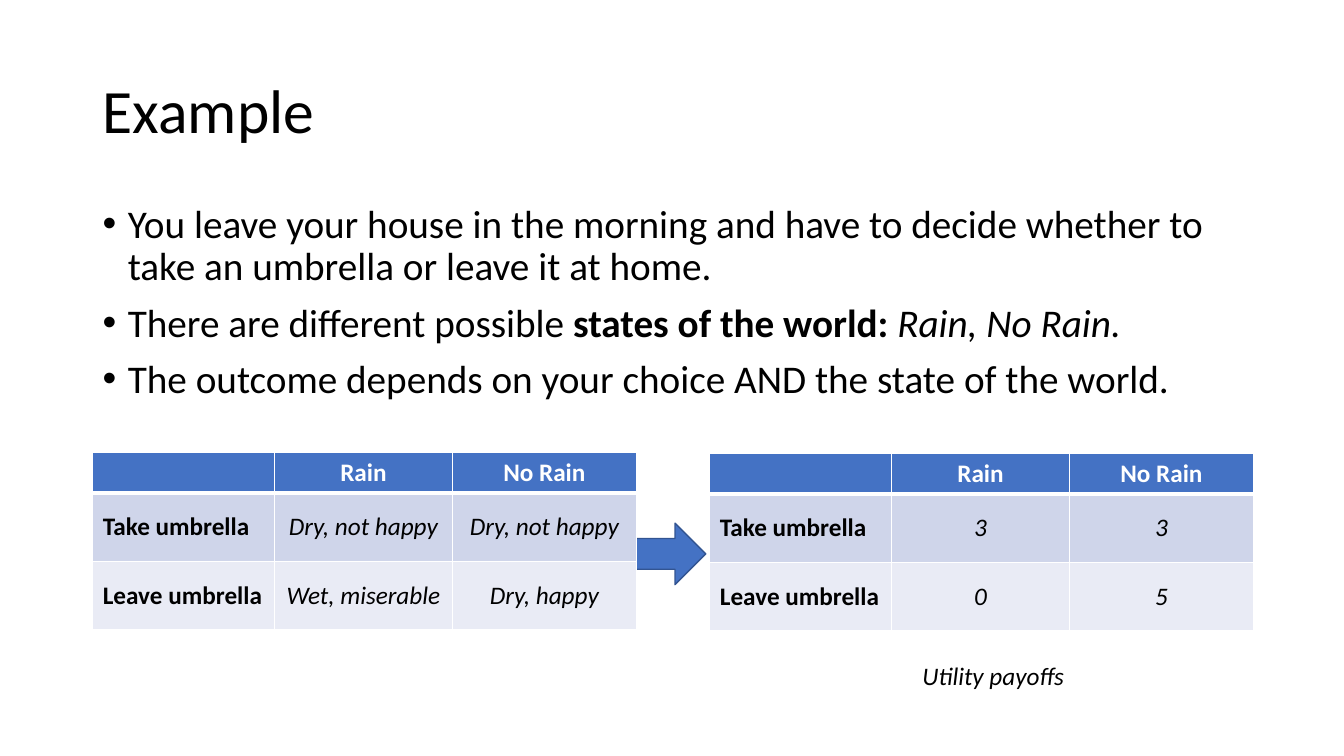
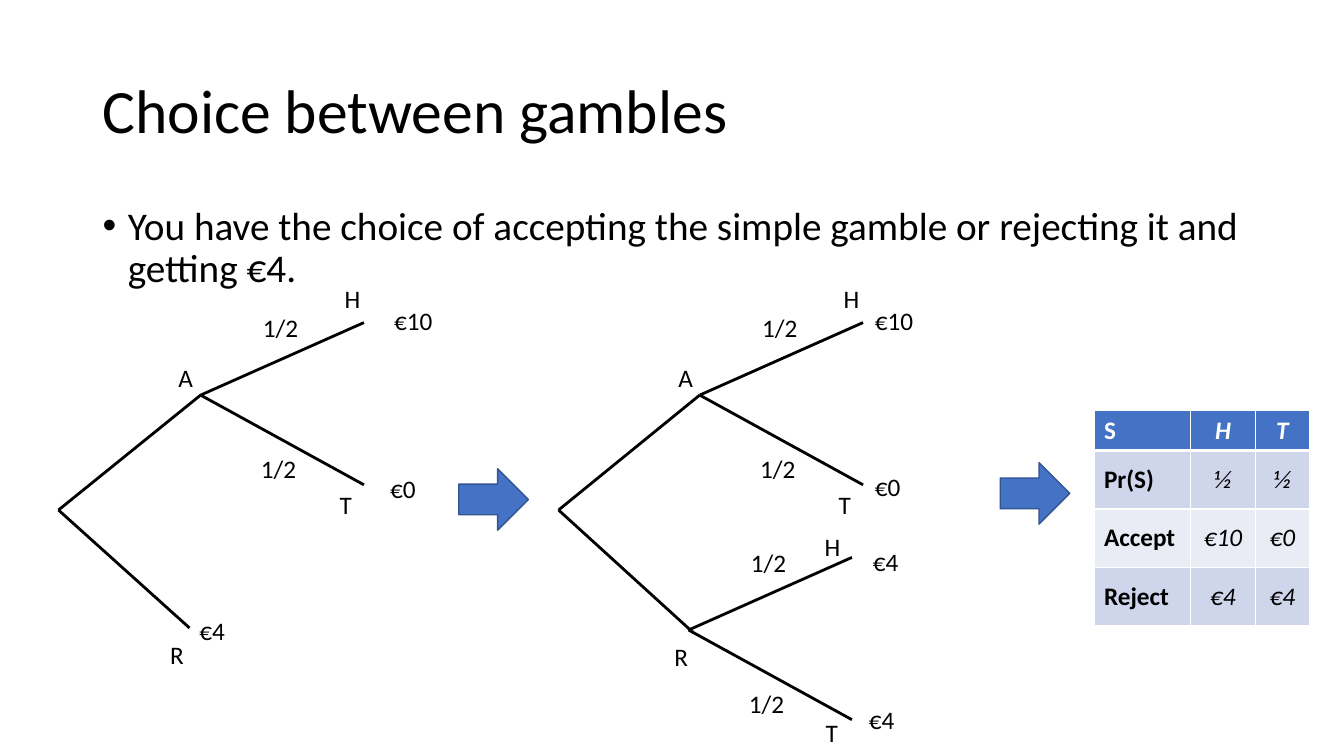
"""Build two slides on choice under uncertainty: payoff tables and gamble trees."""
from lxml import etree
from pptx import Presentation
from pptx.dml.color import RGBColor
from pptx.enum.shapes import MSO_CONNECTOR, MSO_SHAPE
from pptx.enum.text import MSO_ANCHOR, MSO_AUTO_SIZE, PP_ALIGN
from pptx.oxml.ns import qn
from pptx.util import Inches, Pt

LINE = MSO_CONNECTOR.STRAIGHT
RIGHT_ARROW = MSO_SHAPE.RIGHT_ARROW
TOP, MIDDLE = MSO_ANCHOR.TOP, MSO_ANCHOR.MIDDLE
LEFT, CENTER = PP_ALIGN.LEFT, PP_ALIGN.CENTER
GROW = MSO_AUTO_SIZE.SHAPE_TO_FIT_TEXT

FONT = "Calibri"
BLACK, WHITE = "000000", "FFFFFF"
BLUE, DARK_BLUE = "4472C4", "325491"
BANDS = ["CFD5EA", "E9EBF5"]
rgb = RGBColor.from_string


def write(p, text, size=18, color=BLACK, bold=False, italic=False):
    r = p.add_run()
    r.text = text
    r.font.name = FONT
    r.font.size = Pt(size)
    r.font.color.rgb = rgb(color)
    r.font.bold = bold
    r.font.italic = italic


def text_box(shapes, x, y, w, h, anchor=TOP, wrap=True):
    tf = shapes.add_textbox(Inches(x), Inches(y), Inches(w), Inches(h)).text_frame
    tf.word_wrap = wrap
    tf.vertical_anchor = anchor
    return tf


umbrella_cols, umbrella_rows = [1.8, 1.77, 1.82], [0.39, 0.68, 0.68]
slides = [
    {
        "title": "Example",
        "body_top": 1.98,
        "bullets": [
            [("You leave your house in the morning and have to decide whether to "
              "take an umbrella or leave it at home.", {})],
            [("There are different possible ", {}),
             ("states of the world: ", {"bold": True}),
             ("Rain, No Rain.", {"italic": True})],
            [("The outcome depends on your choice AND the state of the world.", {})],
        ],
        "arrows": [(6.31, 5.19)],
        "tables": [
            (0.92, 4.49, umbrella_cols, umbrella_rows, False, [
                ["", "Rain", "No Rain"],
                ["Take umbrella", "Dry, not happy", "Dry, not happy"],
                ["Leave umbrella", "Wet, miserable", "Dry, happy"]]),
            (7.04, 4.5, umbrella_cols, umbrella_rows, False, [
                ["", "Rain", "No Rain"],
                ["Take umbrella", "3", "3"],
                ["Leave umbrella", "0", "5"]]),
        ],
    },
    {
        "title": "Choice between gambles",
        "body_top": 2,
        "bullets": [
            [("You have the choice of accepting the simple gamble or rejecting it "
              "and getting €4.", {})],
        ],
        "arrows": [(4.55, 4.65), (9.92, 4.59)],
        "tables": [
            (10.85, 4.07, [0.96, 0.64, 0.54], [0.4, 0.58, 0.58, 0.58], True, [
                ["S", "H", "T"],
                ["Pr(S)", "½", "½"],
                ["Accept", "€10", "€0"],
                ["Reject", "€4", "€4"]]),
        ],
    },
]

prs = Presentation()
prs.slide_width, prs.slide_height = Inches(13.33), Inches(7.5)

for content in slides:
    s = prs.slides.add_slide(prs.slide_layouts[6])

    p = text_box(s.shapes, 0.92, 0.4, 11.5, 1.45, anchor=MIDDLE).paragraphs[0]
    p.line_spacing = 0.9
    write(p, content["title"], size=44)

    tf = text_box(s.shapes, 0.92, content["body_top"], 11.5, 4.76)
    for i, runs in enumerate(content["bullets"]):
        p = tf.add_paragraph() if i else tf.paragraphs[0]
        p.line_spacing = 0.9
        p.space_before = Pt(10)
        pPr = p._p.get_or_add_pPr()
        pPr.set("marL", str(Inches(0.25)))
        pPr.set("indent", str(Inches(-0.25)))
        etree.SubElement(pPr, qn("a:buFont")).set("typeface", "Arial")
        etree.SubElement(pPr, qn("a:buChar")).set("char", "•")
        for text, style in runs:
            write(p, text, size=28, **style)

    for x, y in content["arrows"]:
        sp = s.shapes.add_shape(RIGHT_ARROW, Inches(x), Inches(y), Inches(0.69), Inches(0.61))
        sp.shadow.inherit = False
        sp.fill.solid()
        sp.fill.fore_color.rgb = rgb(BLUE)
        sp.line.color.rgb = rgb(DARK_BLUE)
        sp.line.width = Pt(1)

    for x, y, widths, heights, italic_head, rows in content["tables"]:
        table = s.shapes.add_table(len(rows), len(widths), Inches(x), Inches(y),
                                   Inches(sum(widths)), Inches(sum(heights))).table
        for col, w in zip(table.columns, widths):
            col.width = Inches(w)
        for i, (values, h) in enumerate(zip(rows, heights)):
            table.rows[i].height = Inches(h)
            for j, value in enumerate(values):
                cell = table.cell(i, j)
                tcPr = cell._tc.get_or_add_tcPr()
                for side in "LRTB":
                    thick = (i, side) in [(0, "B"), (1, "T")]
                    ln = etree.SubElement(tcPr, qn("a:ln" + side))
                    ln.set("w", str(Pt(3 if thick else 1)))
                    fill = etree.SubElement(ln, qn("a:solidFill"))
                    etree.SubElement(fill, qn("a:srgbClr")).set("val", WHITE)
                cell.fill.solid()
                cell.fill.fore_color.rgb = rgb(BANDS[(i - 1) % 2] if i else BLUE)
                cell.vertical_anchor = MIDDLE if i else TOP
                p = cell.text_frame.paragraphs[0]
                p.alignment = CENTER if j else LEFT
                if value:
                    write(p, value, color=BLACK if i else WHITE, bold=i == 0 or j == 0,
                          italic=j > 0 and (i > 0 or italic_head))

example, gambles = prs.slides
tf = text_box(example.shapes, 9.05, 6.5, 1.63, 0.4, wrap=False)
tf.auto_size = GROW
write(tf.paragraphs[0], "Utility payoffs", italic=True)

left_tree = gambles.shapes.add_group_shape().shapes
right_tree = gambles.shapes.add_group_shape().shapes

branches = [
    (left_tree, 0.58, 5.06, 1.99, 3.92),
    (left_tree, 0.58, 5.06, 1.88, 6.23),
    (right_tree, 5.54, 5.06, 6.94, 3.92),
    (right_tree, 5.54, 5.06, 6.88, 6.28),
]
labels = [
    (left_tree, "A", 1.67, 3.55),
    (left_tree, "R", 1.59, 6.29),
    (left_tree, "€4", 1.88, 6.06),
    (right_tree, "A", 6.63, 3.55),
    (right_tree, "R", 6.59, 6.31),
]
forks = [
    (left_tree, 1.99, 3.92,
     [("H", 1.33, -1.16), ("T", 1.28, 0.89), ("€10", 1.82, -0.94), ("€0", 1.78, 0.73)]),
    (right_tree, 6.94, 3.92,
     [("H", 1.33, -1.16), ("T", 1.28, 0.89), ("€10", 1.64, -0.94), ("€0", 1.64, 0.71)]),
    (gambles.shapes, 6.83, 6.25,
     [("H", 1.25, -1.03), ("T", 1.26, 0.82), ("€4", 1.73, -0.88), ("€4", 1.69, 0.69)]),
]
for shapes, x, y, outcomes in forks:
    for rise in (-0.72, 0.89):
        branches.append((shapes, x, y, x + 1.62, y + rise))
    for text, dx, dy in [("1/2", 0.52, -0.87), ("1/2", 0.5, 0.53)] + outcomes:
        labels.append((shapes, text, x + dx, y + dy))

for shapes, x1, y1, x2, y2 in branches:
    line = shapes.add_connector(LINE, Inches(x1), Inches(y1), Inches(x2), Inches(y2))
    line.line.color.rgb = rgb(BLACK)
    line.line.width = Pt(2)
    etree.SubElement(line._element.spPr, qn("a:effectLst"))

for shapes, text, x, y in labels:
    tf = text_box(shapes, x, y, 0.67 if "€" in text else 0.57, 0.4)
    tf.auto_size = GROW
    write(tf.paragraphs[0], text)

prs.save("out.pptx")
